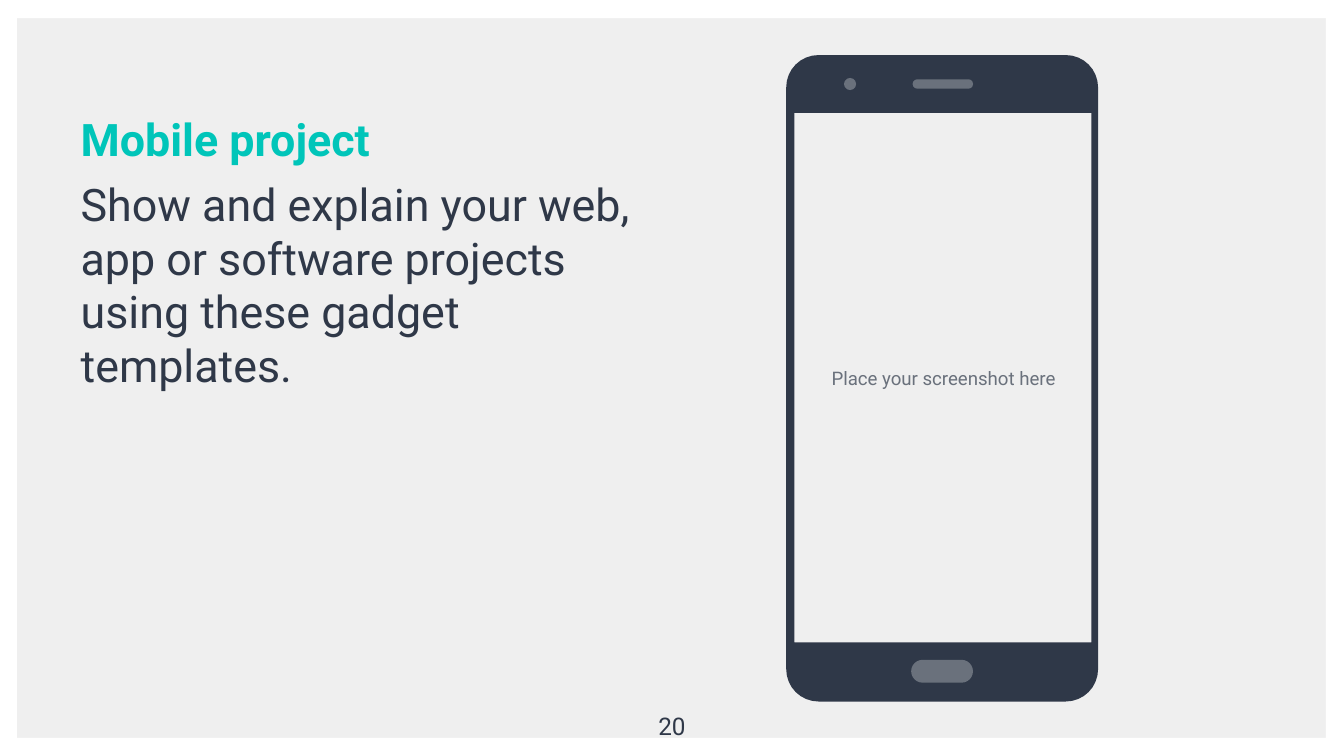
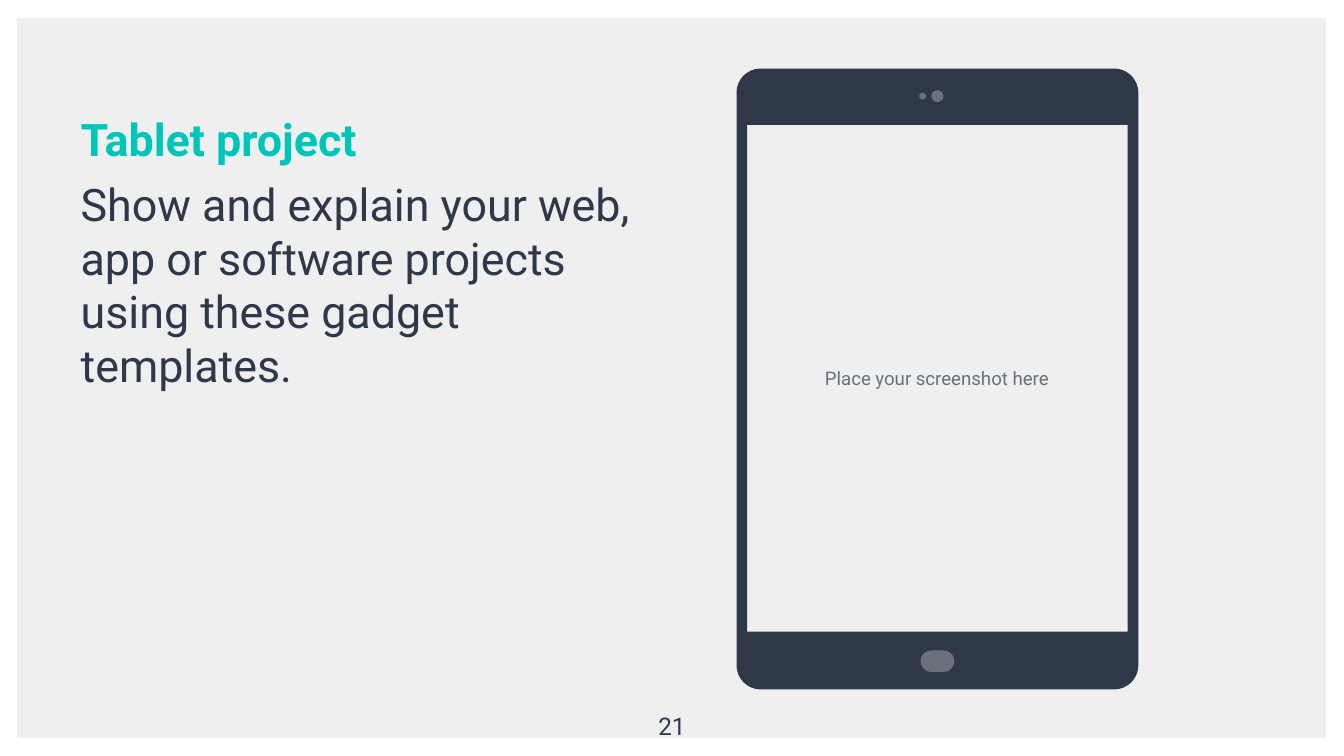
import math
from dataclasses import dataclass

from lxml import etree
from pptx import Presentation
from pptx import util as u
from pptx.dml.color import RGBColor
from pptx.enum import shapes, text
from pptx.oxml.ns import qn

PAPER = RGBColor(0xEF, 0xEF, 0xEF)
WHITE = RGBColor(0xFF, 0xFF, 0xFF)
TEAL = RGBColor(0x00, 0xC5, 0xB9)
NAVY = RGBColor(0x2F, 0x38, 0x48)
GREY = RGBColor(0x6A, 0x71, 0x7C)
FONT = "Roboto"
WIDTH = 10
HEIGHT = WIDTH * 9 / 16
BODY_BOX = (0.5, 0.73, 4.49, 4.65)
NUMBER_BOX = (4.7, HEIGHT - 0.43, 0.6, 0.43)
EXPLANATION = "Show and explain your web, app or software projects using these gadget templates."


@dataclass
class Device:
    box: tuple
    radius: float
    screen: tuple
    label: tuple
    controls: list


PHONE = Device(
    box=(5.85, 0.41, 2.32, 4.81),
    radius=0.24,
    screen=(0.06, 0.43, 2.21, 3.94),
    label=(0.07, 0.45, 2.2, 3.91),
    controls=[(0.93, 4.5, 0.46, 0.17), (0.43, 0.17, 0.09, 0.09), (0.94, 0.18, 0.45, 0.07)],
)
TABLET = Device(
    box=(5.48, 0.51, 2.99, 4.62),
    radius=0.18,
    screen=(0.08, 0.42, 2.83, 3.77),
    label=(0.07, 0.42, 2.84, 3.76),
    controls=[(1.37, 4.33, 0.25, 0.16), (1.36, 0.18, 0.05, 0.05), (1.45, 0.16, 0.09, 0.09)],
)


def inches(values):
    return [u.Inches(v) for v in values]


def within(box, part):
    return (box[0] + part[0], box[1] + part[1], part[2], part[3])


def paint(sp, color):
    sp.shadow.inherit = False
    sp.fill.solid()
    sp.fill.fore_color.rgb = color
    sp.line.fill.background()


def format_paragraph(p, size, color, bold=False, align=None):
    p.font.name = FONT
    p.font.size = u.Pt(size)
    p.font.color.rgb = color
    p.font.bold = bold
    p.alignment = align


def set_margins(tf):
    tf.word_wrap = True
    tf.margin_left = tf.margin_top = tf.margin_right = tf.margin_bottom = u.Inches(0.1)


def add_label(slide, box, words, size, color, anchor):
    tf = slide.shapes.add_textbox(*inches(box)).text_frame
    set_margins(tf)
    tf.vertical_anchor = anchor
    p = tf.paragraphs[0]
    p.text = words
    format_paragraph(p, size, color, align=text.PP_ALIGN.CENTER)


def add_frame(slide):
    sp = slide.shapes.add_shape(
        shapes.MSO_SHAPE.FRAME, *inches((-0.01, 0, WIDTH + 0.01, HEIGHT)))
    sp.adjustments[0] = 0.024
    paint(sp, WHITE)


def fill_body(slide, box, heading):
    body = slide.placeholders[1]
    body.left, body.top, body.width, body.height = inches(box)
    tf = body.text_frame
    set_margins(tf)
    tf.auto_size = text.MSO_AUTO_SIZE.NONE
    tf.vertical_anchor = text.MSO_ANCHOR.TOP
    tf.text = f"{heading}\n{EXPLANATION}"
    for p, color, bold in zip(tf.paragraphs, (TEAL, NAVY), (True, False)):
        format_paragraph(p, 24, color, bold)
        p.space_before = u.Pt(6)
        pPr = p._p.get_or_add_pPr()
        pPr.set("marL", "0")
        pPr.set("indent", "0")
        bullet = etree.Element(qn("a:buNone"))
        pPr.find(qn("a:spcBef")).addnext(bullet)


def rounded_outline(box, radius, steps=8):
    x, y, w, h = box
    centres = [
        (x + w - radius, y + h - radius),
        (x + radius, y + h - radius),
        (x + radius, y + radius),
        (x + w - radius, y + radius),
    ]
    points = []
    for corner, (cx, cy) in enumerate(centres):
        for step in range(steps + 1):
            angle = math.pi / 2 * (corner + step / steps)
            points.append((cx + radius * math.cos(angle), cy + radius * math.sin(angle)))
    return [inches(point) for point in points]


def rectangle_outline(box):
    x, y, w, h = box
    return [inches(point) for point in ((x + w, y), (x + w, y + h), (x, y + h), (x, y))]


def add_device(slide, device):
    add_label(slide, within(device.box, device.label), "Place your screenshot here",
              10, GREY, text.MSO_ANCHOR.MIDDLE)
    group = slide.shapes.add_group_shape()
    screen = rectangle_outline(within(device.box, device.screen))
    case = rounded_outline(device.box, device.radius)
    builder = group.shapes.build_freeform(*screen[0])
    builder.add_line_segments(screen[1:])
    builder.move_to(*case[0])
    builder.add_line_segments(case[1:])
    paint(builder.convert_to_shape(), NAVY)
    for control in device.controls:
        sp = group.shapes.add_shape(
            shapes.MSO_SHAPE.ROUNDED_RECTANGLE, *inches(within(device.box, control)))
        sp.adjustments[0] = 0.5
        paint(sp, GREY)


def add_device_slide(prs, heading, number, device):
    slide = prs.slides.add_slide(prs.slide_layouts[1])
    title = slide.shapes.title.element
    title.getparent().remove(title)
    slide.background.fill.solid()
    slide.background.fill.fore_color.rgb = PAPER
    add_frame(slide)
    fill_body(slide, BODY_BOX, heading)
    add_label(slide, NUMBER_BOX, str(number), 13, NAVY, text.MSO_ANCHOR.TOP)
    add_device(slide, device)


def main():
    prs = Presentation()
    prs.slide_width, prs.slide_height = inches((WIDTH, HEIGHT))
    add_device_slide(prs, "Mobile project", 20, PHONE)
    add_device_slide(prs, "Tablet project", 21, TABLET)
    prs.save("out.pptx")


if __name__ == "__main__":
    main()
